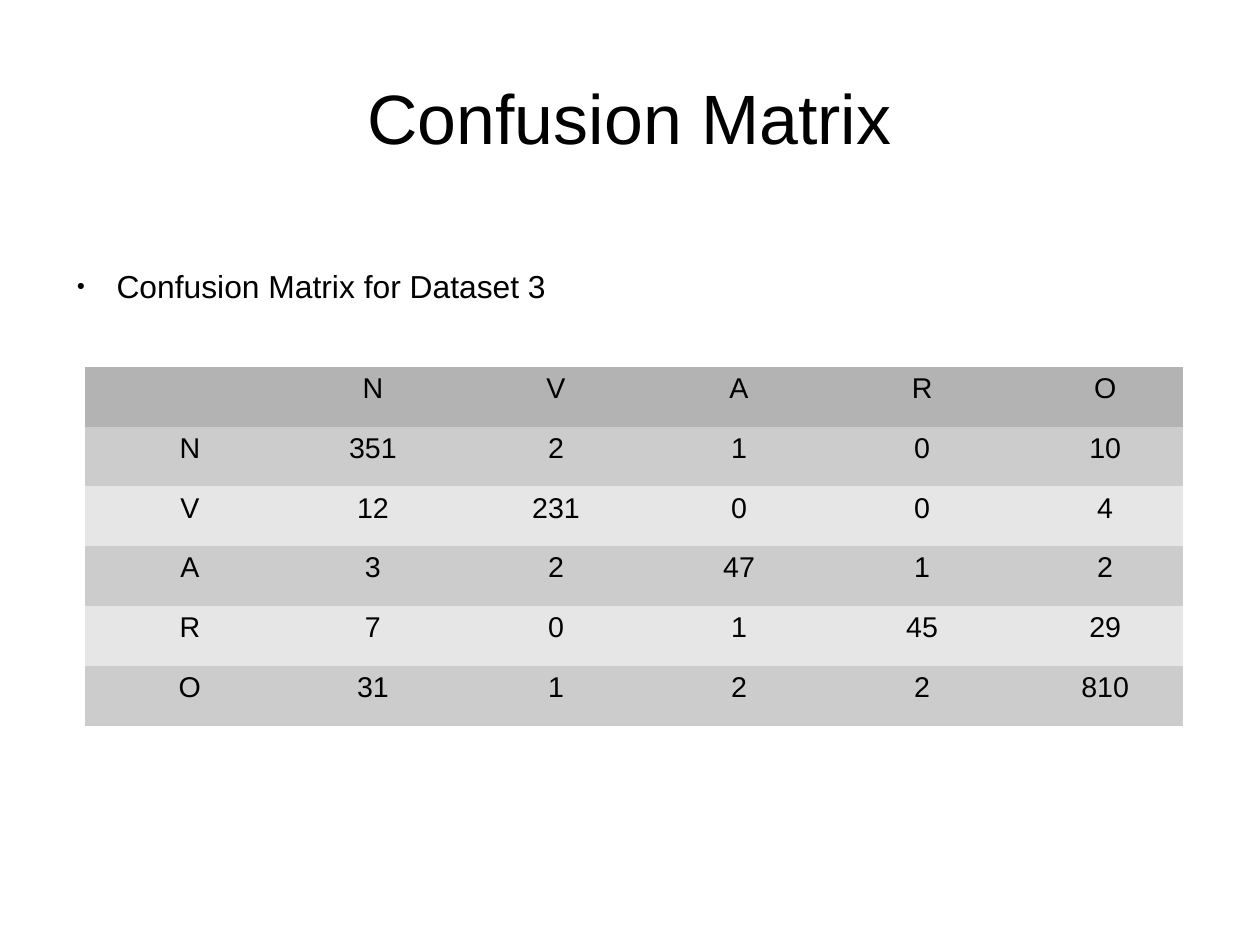
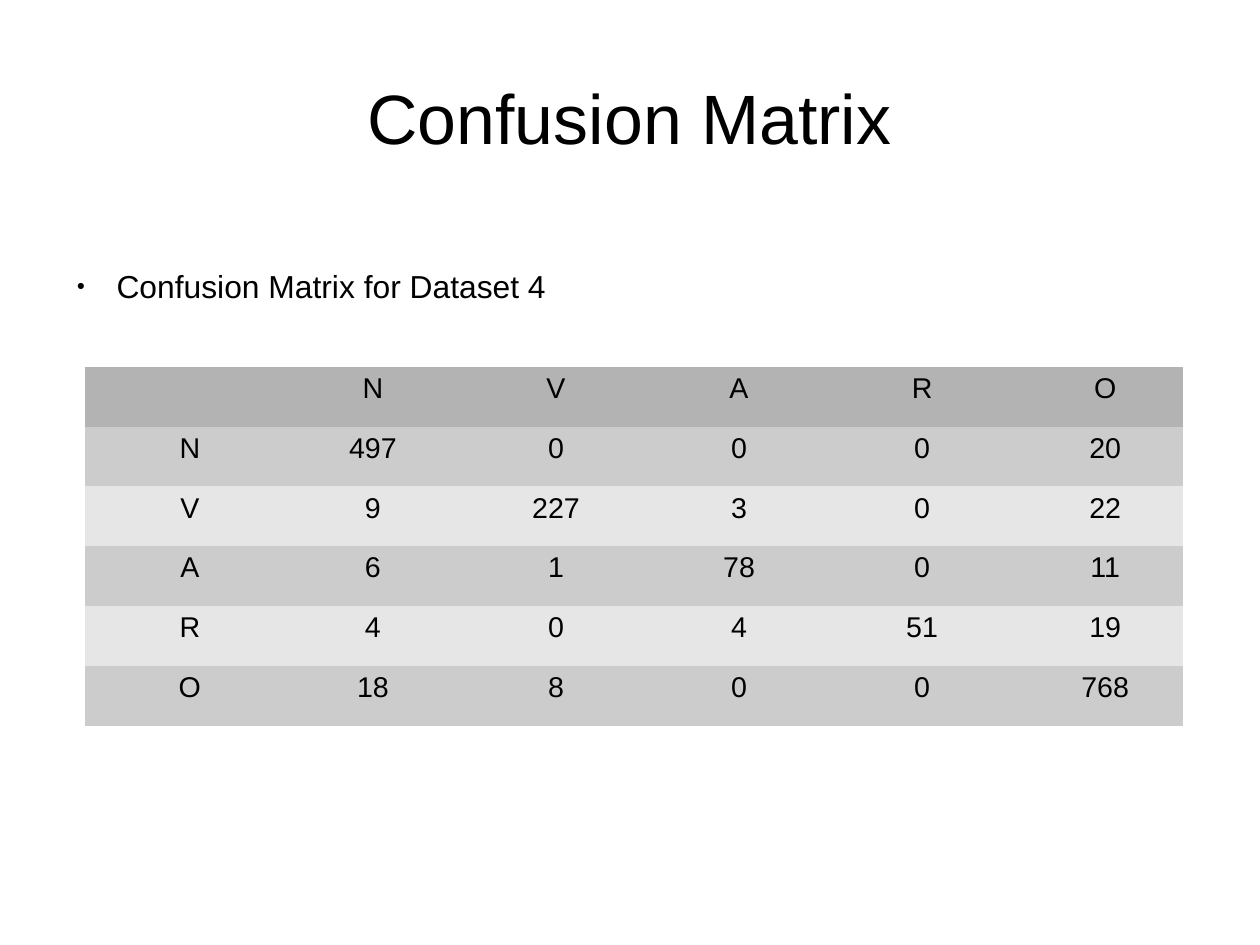
from lxml import etree
from pptx import Presentation
from pptx.dml.color import RGBColor
from pptx.enum.text import MSO_ANCHOR, PP_ALIGN
from pptx.oxml.ns import qn
from pptx.util import Cm, Inches, Pt

CENTER = PP_ALIGN.CENTER
MIDDLE = MSO_ANCHOR.MIDDLE
TOP = MSO_ANCHOR.TOP

BLACK = RGBColor(0x00, 0x00, 0x00)
HEADER_GRAY = RGBColor(0xB3, 0xB3, 0xB3)
BAND_GRAYS = (RGBColor(0xE6, 0xE6, 0xE6), RGBColor(0xCC, 0xCC, 0xCC))

FONT = "Arial"
PLAIN_TABLE_STYLE = "{2D5ABB26-0587-4C30-8999-92F81FD0307C}"
TABLE_WIDTH = 9.61
TABLE_HEIGHT = 3.14

TITLE = "Confusion Matrix"
CLASSES = "NVARO"
MATRICES = {
    "Confusion Matrix for Dataset 3": [
        (351, 2, 1, 0, 10),
        (12, 231, 0, 0, 4),
        (3, 2, 47, 1, 2),
        (7, 0, 1, 45, 29),
        (31, 1, 2, 2, 810),
    ],
    "Confusion Matrix for Dataset 4": [
        (497, 0, 0, 0, 20),
        (9, 227, 3, 0, 22),
        (6, 1, 78, 0, 11),
        (4, 0, 4, 51, 19),
        (18, 8, 0, 0, 768),
    ],
}


def write_text(text_frame, text, size):
    """Fill the frame with one styled paragraph and return it."""
    text_frame.text = text
    paragraph = text_frame.paragraphs[0]
    for run in paragraph.runs:
        run.font.name = FONT
        run.font.size = Pt(size)
        run.font.color.rgb = BLACK
    return paragraph


def add_text(slide, left, top, width, height, text, size, anchor=TOP):
    shape = slide.shapes.add_textbox(
        Inches(left), Inches(top), Inches(width), Inches(height))
    text_frame = shape.text_frame
    text_frame.word_wrap = True
    text_frame.vertical_anchor = anchor
    text_frame.margin_left = text_frame.margin_right = 0
    text_frame.margin_top = text_frame.margin_bottom = 0
    return write_text(text_frame, text, size)


def add_title(slide):
    paragraph = add_text(slide, 0.55, 0.33, 9.92, 1.38, TITLE, 44, MIDDLE)
    paragraph.alignment = CENTER


def set_indent(paragraph, left, first_line=0):
    properties = paragraph._p.get_or_add_pPr()
    properties.set("marL", str(Inches(left)))
    properties.set("indent", str(Inches(first_line)))
    return properties


def add_bullet(slide, text):
    paragraph = add_text(slide, 0.55, 2.33, 9.7, 4.79, text, 20)
    paragraph.space_after = Pt(14.2)
    properties = set_indent(paragraph, 0.47, -0.35)
    color = etree.SubElement(properties, qn("a:buClr"))
    etree.SubElement(color, qn("a:srgbClr"), val=str(BLACK))
    etree.SubElement(properties, qn("a:buSzPct"), val="45000")
    etree.SubElement(properties, qn("a:buFont"), typeface=FONT)
    etree.SubElement(properties, qn("a:buChar"), char="●")


def add_matrix(slide, counts):
    rows = [("", *CLASSES)]
    rows += [(name, *values) for name, values in zip(CLASSES, counts)]
    row_count, column_count = len(rows), len(rows[0])
    frame = slide.shapes.add_table(
        row_count, column_count, Inches(0.74), Inches(3.21),
        Inches(TABLE_WIDTH), Inches(TABLE_HEIGHT))
    table = frame.table
    table._tbl.tblPr.find(qn("a:tableStyleId")).text = PLAIN_TABLE_STYLE
    for row_index, values in enumerate(rows):
        fill_color = BAND_GRAYS[row_index % 2] if row_index else HEADER_GRAY
        for column_index, value in enumerate(values):
            cell = table.cell(row_index, column_index)
            cell.fill.solid()
            cell.fill.fore_color.rgb = fill_color
            paragraph = write_text(cell.text_frame, str(value), 18)
            paragraph.alignment = CENTER
            set_indent(paragraph, 0.24)


def main():
    presentation = Presentation()
    presentation.slide_width = Cm(28)
    presentation.slide_height = Cm(21)
    blank_layout = presentation.slide_layouts[6]
    for caption, counts in MATRICES.items():
        slide = presentation.slides.add_slide(blank_layout)
        add_title(slide)
        add_matrix(slide, counts)
        add_bullet(slide, caption)
    presentation.save("out.pptx")


if __name__ == "__main__":
    main()
